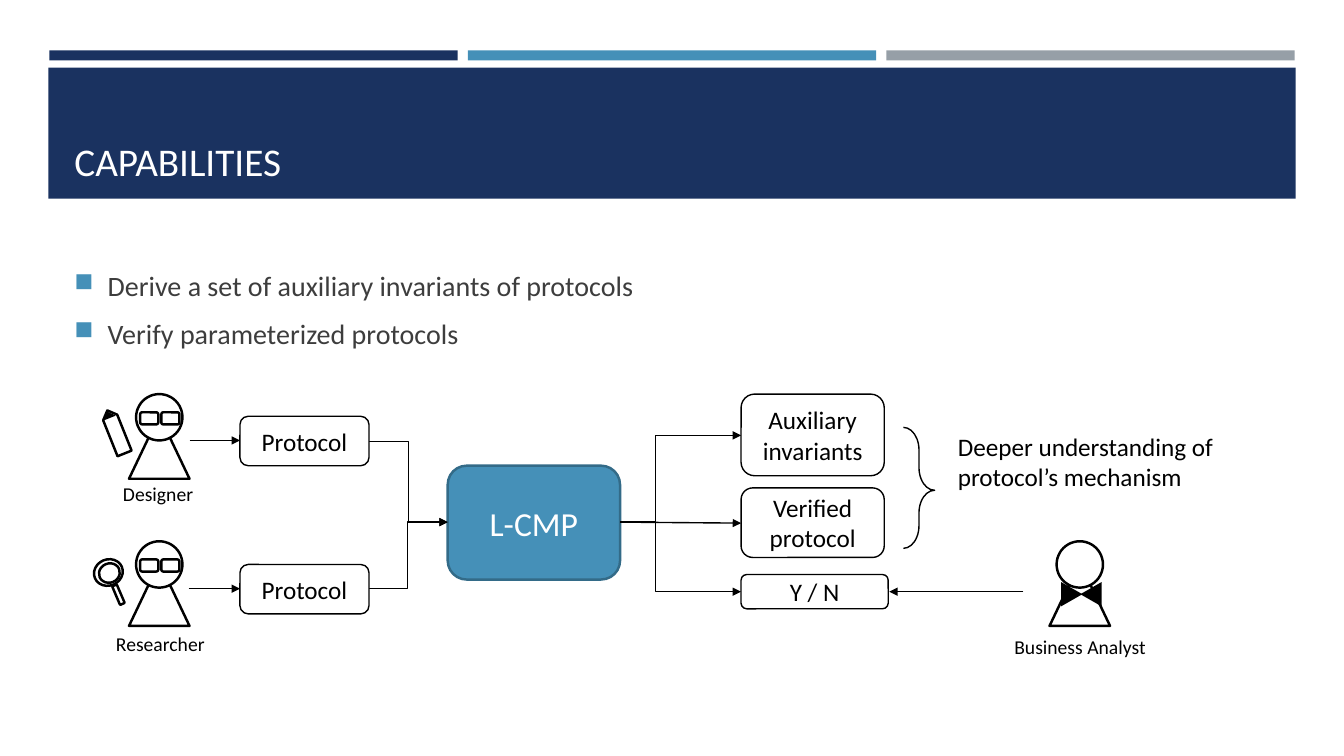
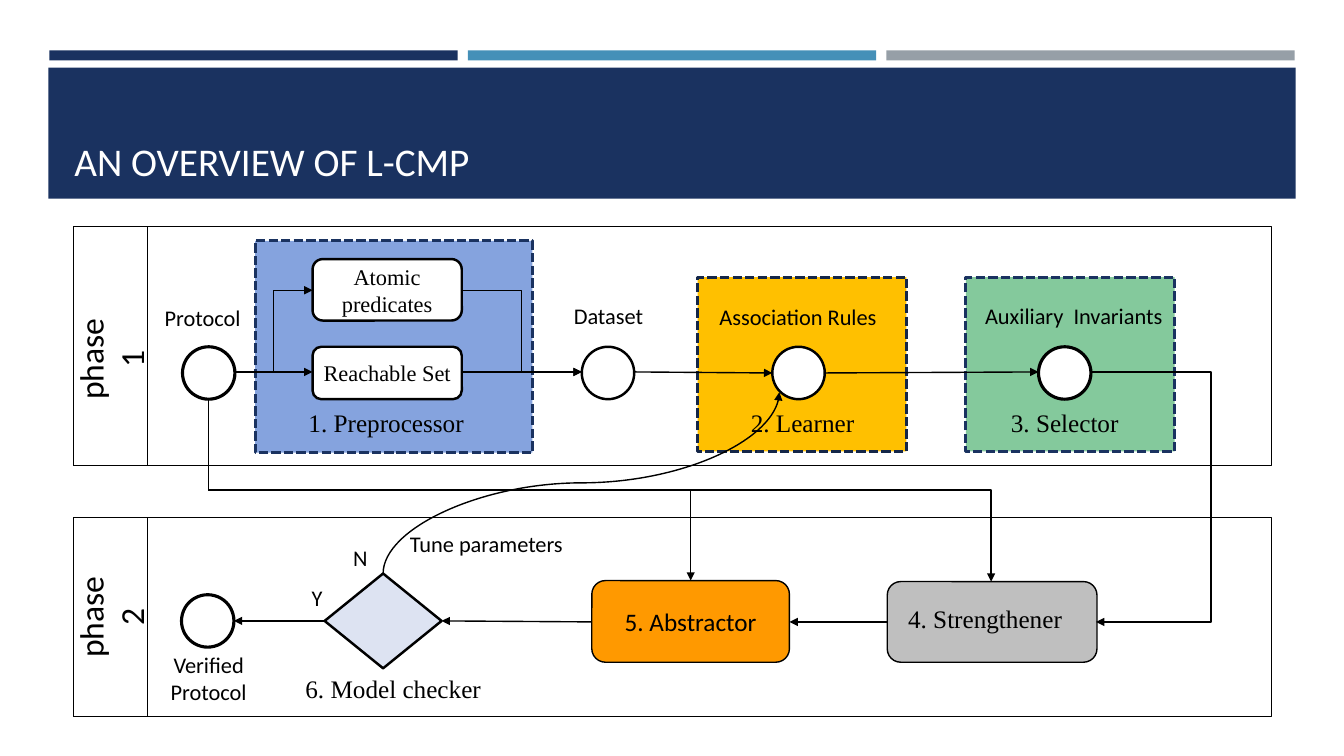
from lxml.etree import SubElement
from pptx import Presentation
from pptx.dml.color import RGBColor
from pptx.enum.dml import MSO_LINE
from pptx.enum.shapes import MSO_CONNECTOR as Route, MSO_SHAPE as Kind
from pptx.enum.text import MSO_ANCHOR as Anchor, PP_ALIGN as Align
from pptx.oxml.ns import qn
from pptx.util import Pt

PX = 9144
COLORS = {
    "navy": "1A3260", "blue": "4590B8", "gray": "969FA7", "deep": "336B88",
    "white": "FFFFFF", "black": "000000", "ink": "3D3D3D", "sky": "85A3DE",
    "amber": "FFC000", "green": "84C99C", "orange": "FF9900",
    "silver": "BFBFBF", "mist": "DDE3F2", "edge": "142648",
}
SANS, SERIF = "Calibri", "Times New Roman"
BAND = (48, 67, 1237, 130)
BARS = ["navy", "blue", "gray"]

BULLETS = [
    "Derive a set of auxiliary invariants of protocols",
    "Verify parameterized protocols",
]
PEOPLE = [(128, 391, True), (128, 537, True), (1041, 537, False)]
TOOLS = [
    (Kind.PENTAGON, (92, 421, 46, 15), 248.2, "white"),
    (Kind.ISOSCELES_TRIANGLE, (101, 408, 13, 7), 338.2, "black"),
    (Kind.OVAL, (98, 559, 21, 19), 336.9, "white"),
    (Kind.OVAL, (93, 555, 29, 26), 336.9, None),
    (Kind.ROUNDED_RECTANGLE, (115, 580, 5, 20), 336.9, "white"),
]
CAPABILITY_BOXES = [
    (("Protocol",), (238, 413, 128, 49)),
    (("Protocol",), (238, 560, 128, 49)),
    (("Auxiliary", "invariants"), (735, 391, 142, 81)),
    (("Verified", "protocol"), (735, 484, 142, 69)),
    (("Y / N",), (735, 570, 146, 34)),
]
CAPABILITY_LABELS = [
    ("Designer", (117, 473, 117, 34), 14),
    ("Researcher", (110, 622, 142, 34), 14),
    ("Business Analyst", (1001, 625, 149, 34), 14),
    ("Deeper understanding of protocol’s mechanism", (945, 423, 300, 71), 18),
]
CAPABILITY_LINES = [
    ("straight", (188, 437, 238, 437), None),
    ("straight", (187, 584, 238, 584), None),
    ("across", (366, 584, 444, 518), 404),
    ("across", (366, 438, 444, 518), 405),
    ("across", (615, 518, 735, 432), 650),
    ("straight", (615, 518, 735, 519), None),
    ("across", (615, 518, 735, 587), 650),
    ("straight", (1015, 587, 882, 587), None),
]

STAGES = [
    ((958, 275, 207, 173), "green", "navy"),
    ((692, 275, 207, 173), "amber", "edge"),
    ((253, 239, 275, 210), "sky", "navy"),
]
NODES = [(181, 344, 2.25), (577, 344, 1.75), (766, 344, 1.75),
         (1030, 344, 2.25), (180, 590, 2.25)]
NODE_SIZE = 52
STEPS = [
    (("Atomic", "predicates"), (310, 257, 148, 61), "white", 1.75, 16, SERIF),
    (("Reachable Set",), (310, 344, 148, 52), "white", 1.75, 16, SERIF),
    ((), (880, 577, 208, 80), "silver", 1, 18, SERIF),
    (("5. Abstractor",), (587, 576, 196, 81), "orange", 1, 18, SANS),
]
PHASES = [("phase 1", 225, 237, 300), ("phase 2", 513, 198, 556)]
OVERVIEW_LABELS = [
    ("Protocol", (151, 297, 100, 37), 16, SANS),
    ("Dataset", (558, 295, 91, 37), 16, SANS),
    ("Association Rules", (696, 296, 191, 37), 16, SANS),
    ("Auxiliary  Invariants", (961, 295, 208, 37), 16, SANS),
    ("Verified Protocol", (150, 641, 114, 64), 16, SANS),
    ("Tune parameters", (396, 521, 173, 37), 16, SANS),
    ("Y", (299, 575, 31, 37), 16, SANS),
    ("N", (342, 535, 31, 37), 16, SANS),
    ("1. Preprocessor", (289, 399, 188, 40), 18, SERIF),
    ("2. Learner", (731, 399, 130, 40), 18, SERIF),
    ("3. Selector", (990, 399, 132, 40), 18, SERIF),
    ("4. Strengthener", (867, 594, 220, 40), 18, SERIF),
    ("6. Model checker", (280, 663, 220, 40), 18, SERIF),
]
OVERVIEW_LINES = [
    ("straight", (233, 369, 310, 369), None),
    ("straight", (458, 369, 577, 369), None),
    ("across", (233, 369, 310, 288), 271),
    ("across", (458, 288, 577, 369), 517),
    ("straight", (629, 369, 766, 370), None),
    ("straight", (818, 370, 1030, 369), None),
    ("across", (1082, 369, 1087, 617), 1201),
    ("down", (207, 395, 685, 576), 486),
    ("down", (207, 395, 983, 577), 486),
    ("straight", (880, 617, 783, 617), None),
    ("straight", (587, 617, 438, 616), None),
    ("straight", (322, 616, 232, 616), None),
    ("curve", (380, 569, 773, 389), 479),
]


def color(name):
    return RGBColor.from_string(COLORS[name])


def assign(target, **values):
    for name, value in values.items():
        setattr(target, name, value)


def scaled(lengths):
    return [round(length * PX) for length in lengths]


def write(shape, lines, size=18, ink="black", font=SANS, align=Align.CENTER,
          anchor=Anchor.MIDDLE, side=5):
    frame = shape.text_frame
    assign(frame, word_wrap=True, vertical_anchor=anchor,
           margin_left=side * PX, margin_right=side * PX)
    for index, line in enumerate(lines):
        para = frame.add_paragraph() if index else frame.paragraphs[0]
        para.alignment = align
        span = para.add_run()
        span.text = line
        assign(span.font, size=Pt(size), name=font)
        span.font.color.rgb = color(ink)
    return frame


def label(page, lines, box, **style):
    shape = page.shapes.add_textbox(*scaled(box))
    write(shape, lines, **style)
    return shape


def draw(page, kind, box, fill="white", line="black", width=1.75, turn=0):
    shape = page.shapes.add_shape(kind, *scaled(box))
    shape.shadow.inherit = False
    shape.rotation = turn
    if fill:
        shape.fill.solid()
        shape.fill.fore_color.rgb = color(fill)
    else:
        shape.fill.background()
    if line:
        shape.line.color.rgb = color(line)
        shape.line.width = Pt(width)
    else:
        shape.line.fill.background()
    return shape


def connect(page, route, ends, middle):
    x1, y1, x2, y2 = ends
    upright = route in ("down", "curve")
    kind = {"straight": Route.STRAIGHT, "curve": Route.CURVE}.get(route, Route.ELBOW)
    if upright:
        cx, cy = (x1 + x2) / 2, (y1 + y2) / 2
        ends = (cx - y1 + cy, cy + x1 - cx, cx - y2 + cy, cy + x2 - cx)
    link = page.shapes.add_connector(kind, *scaled(ends))
    link.line.color.rgb = color("black")
    link.line.width = Pt(1)
    props = link._element.spPr
    if upright:
        props.find(qn("a:xfrm")).set("rot", "16200000")
    if middle is not None:
        start, stop = (y1, y2) if upright else (x1, x2)
        share = round((middle - start) / (stop - start) * 100000)
        guides = props.find(qn("a:prstGeom")).get_or_add_avLst()
        SubElement(guides, qn("a:gd"), name="adj1", fmla=f"val {share}")
    SubElement(props.find(qn("a:ln")), qn("a:tailEnd"), type="triangle")
    SubElement(props, qn("a:effectLst"))


def start_page(deck, title):
    page = deck.slides.add_slide(deck.slide_layouts[6])
    for index, fill in enumerate(BARS):
        draw(page, Kind.RECTANGLE, (49 + 415 * index, 50, 405, 10), fill, None)
    draw(page, Kind.RECTANGLE, BAND, "navy", None)
    label(page, [title], (64, 77, 1206, 111), size=28, ink="white",
          align=Align.LEFT, anchor=Anchor.BOTTOM, side=10)
    return page


def add_bullets(page):
    shape = label(page, BULLETS, (64, 106, 1206, 402), size=20, ink="ink",
                  align=Align.LEFT, side=10)
    for para in shape.text_frame.paragraphs:
        assign(para, space_before=Pt(4), space_after=Pt(6))
        props = para._p.get_or_add_pPr()
        props.set("marL", str(33 * PX))
        props.set("indent", str(-33 * PX))
        tint = SubElement(props, qn("a:buClr"))
        SubElement(tint, qn("a:srgbClr"), val=COLORS["blue"])
        SubElement(props, qn("a:buSzPct"), val="92000")
        SubElement(props, qn("a:buChar"), char="■")


def add_person(page, x, y, glasses):
    draw(page, Kind.ISOSCELES_TRIANGLE, (x, y + 21, 60, 63))
    draw(page, Kind.OVAL, (x + 7, y, 46, 46))
    if glasses:
        for offset in (11, 32):
            draw(page, Kind.ROUNDED_RECTANGLE, (x + offset, y + 18, 18, 12))
    else:
        for offset, turn in ((10, 90), (29, 270)):
            draw(page, Kind.ISOSCELES_TRIANGLE, (x + offset, y + 42, 24, 21),
                 "black", None, turn=turn)


def build_capabilities(deck):
    page = start_page(deck, "CAPABILITIES")
    add_bullets(page)
    for person in PEOPLE:
        add_person(page, *person)
    for kind, box, turn, fill in TOOLS:
        line = None if fill == "black" else "black"
        draw(page, kind, box, fill, line, turn=turn)
    engine = draw(page, Kind.ROUNDED_RECTANGLE, (444, 462, 171, 113), "blue", "deep")
    write(engine, ["L-CMP"], size=24, ink="white")
    for link in CAPABILITY_LINES:
        connect(page, *link)
    for lines, box in CAPABILITY_BOXES:
        write(draw(page, Kind.ROUNDED_RECTANGLE, box, width=1), lines)
    brace = draw(page, Kind.RIGHT_BRACE, (896, 424, 31, 120), None, width=1)
    brace.adjustments[0], brace.adjustments[1] = 0.73, 0.52
    for text, box, size in CAPABILITY_LABELS:
        label(page, [text], box, size=size, align=Align.LEFT, anchor=Anchor.TOP)


def build_overview(deck):
    page = start_page(deck, "AN OVERVIEW OF L-CMP")
    for box, fill, line in STAGES:
        stage = draw(page, Kind.RECTANGLE, box, fill, line, 2.25)
        stage.line.dash_style = MSO_LINE.SQUARE_DOT
    for x, y, width in NODES:
        draw(page, Kind.OVAL, (x, y, NODE_SIZE, NODE_SIZE), width=width)
    for lines, box, fill, width, size, font in STEPS:
        step = draw(page, Kind.ROUNDED_RECTANGLE, box, fill, width=width)
        write(step, lines, size=size, font=font)
    draw(page, Kind.DIAMOND, (322, 569, 116, 94), "mist")
    for text, top, height, text_top in PHASES:
        for width in (1188, 73):
            draw(page, Kind.RECTANGLE, (73, top, width, height), None, width=0.75)
        name = label(page, [text], (79, text_top, 61, 113), size=24)
        name.text_frame._txBody.bodyPr.set("vert", "vert270")
    for text, box, size, font in OVERVIEW_LABELS:
        label(page, [text], box, size=size, font=font, anchor=Anchor.TOP)
    for link in OVERVIEW_LINES:
        connect(page, *link)


def main():
    deck = Presentation()
    assign(deck, slide_width=1333 * PX, slide_height=750 * PX)
    build_capabilities(deck)
    build_overview(deck)
    deck.save("out.pptx")


if __name__ == "__main__":
    main()
